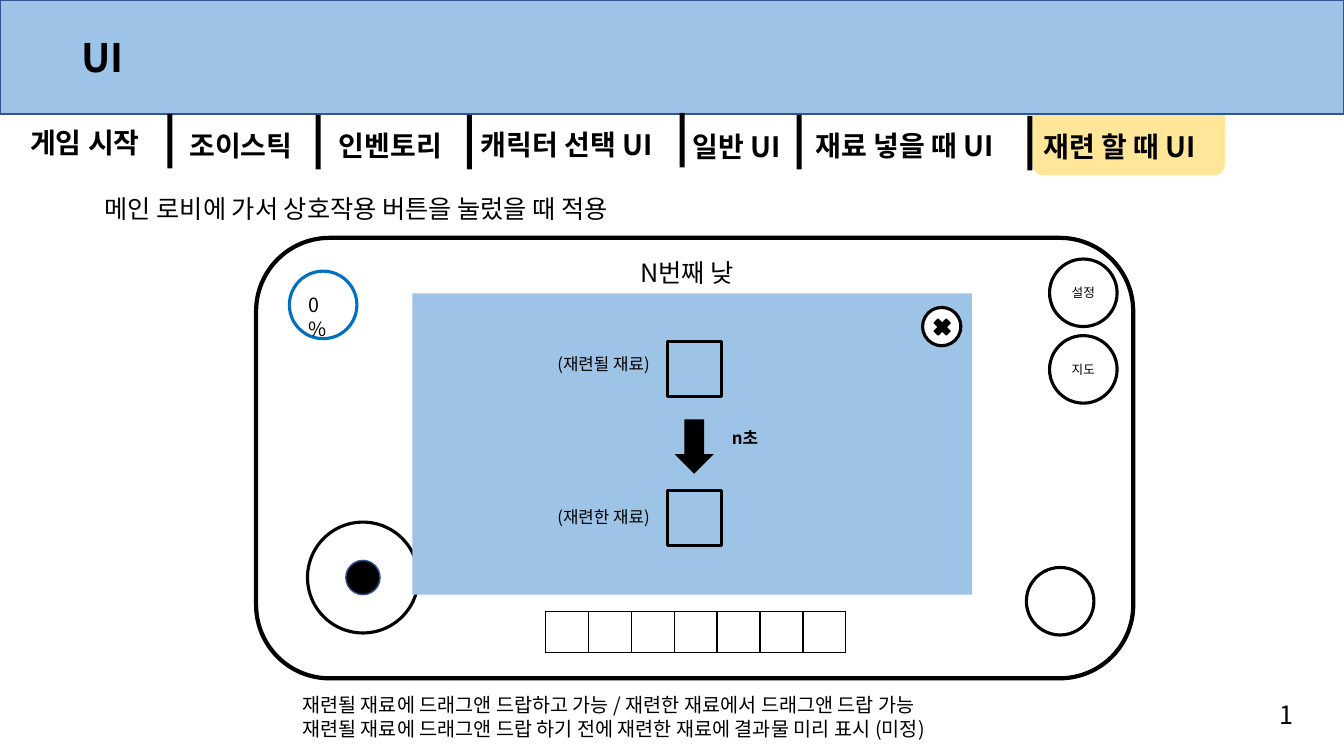
from lxml import etree
from pptx import Presentation
from pptx import util as u
from pptx.dml.color import RGBColor
from pptx.enum import shapes, text
from pptx.oxml import ns

KIND = shapes.MSO_SHAPE
BLACK, WHITE, SKY, NAVY = "000000", "FFFFFF", "9DC3E6", "325491"
RING, YELLOW = "0070C0", "FFE699"


def px(n):
    """Turn px, 100 to the inch, into EMU."""
    return u.Emu(n * 9144)


def rgb(code):
    return RGBColor.from_string(code)


class Board:
    font = "Noto Sans CJK KR"
    leading = 1.22

    def __init__(self, slide):
        self.slide = slide

    def put_text(self, frame, words, size, bold=False, align=None, wrap=False):
        """Fill a text frame, one paragraph for each line of words."""
        frame.word_wrap = wrap
        for i, line in enumerate(words.split("\n")):
            para = frame.add_paragraph() if i else frame.paragraphs[0]
            para.alignment = align
            para.line_spacing = u.Pt(size * self.leading)
            run = para.add_run()
            run.text = line
            run.font.size, run.font.bold = u.Pt(size), bold
            run.font.name = self.font
            run.font.color.rgb = rgb(BLACK)
            east_asian = etree.SubElement(run.font._element, ns.qn("a:ea"))
            east_asian.set("typeface", self.font)

    def title(self, words, box, size):
        """Place the title in front of the shapes drawn so far."""
        title = self.slide.shapes.title
        title.left, title.top, title.width, title.height = map(px, box)
        title.text_frame.vertical_anchor = text.MSO_ANCHOR.MIDDLE
        title.text_frame.auto_size = text.MSO_AUTO_SIZE.NONE
        self.put_text(title.text_frame, words, size, bold=True,
                      align=text.PP_ALIGN.LEFT, wrap=True)
        self.slide.shapes._spTree.append(title._element)

    def label(self, words, box, size, **style):
        frame = self.slide.shapes.add_textbox(*map(px, box)).text_frame
        frame.auto_size = text.MSO_AUTO_SIZE.SHAPE_TO_FIT_TEXT
        self.put_text(frame, words, size, **style)

    def shape(self, kind, box, fill=None, line=None, weight=2.25):
        shape = self.slide.shapes.add_shape(kind, *map(px, box))
        shape.shadow.inherit = False
        if fill:
            shape.fill.solid()
            shape.fill.fore_color.rgb = rgb(fill)
        else:
            shape.fill.background()
        if line:
            shape.line.color.rgb = rgb(line)
            shape.line.width = u.Pt(weight)
        else:
            shape.line.fill.background()
        return shape

    def button(self, words, box):
        button = self.shape(KIND.OVAL, box, WHITE, BLACK)
        frame = button.text_frame
        frame.vertical_anchor = text.MSO_ANCHOR.MIDDLE
        self.put_text(frame, words, 9, align=text.PP_ALIGN.CENTER, wrap=True)

    def slots(self, count, box):
        """Draw one row of empty, black-bordered cells."""
        table = self.slide.shapes.add_table(1, count, *map(px, box)).table
        table.first_row = table.horz_banding = False
        for cell in table.iter_cells():
            cell.margin_top = cell.margin_bottom = 0
            properties = cell._tc.get_or_add_tcPr()
            for side in ("a:lnL", "a:lnR", "a:lnT", "a:lnB"):
                border = etree.SubElement(properties, ns.qn(side), w="12700")
                solid = etree.SubElement(border, ns.qn("a:solidFill"))
                etree.SubElement(solid, ns.qn("a:srgbClr"), val=BLACK)
            cell.fill.solid()
            cell.fill.fore_color.rgb = rgb(WHITE)


def draw_tabs(board):
    board.shape(KIND.FLOWCHART_ALTERNATE_PROCESS, (1024, 107, 191, 67), YELLOW)
    board.shape(KIND.RECTANGLE, (0, 0, 1333, 113), SKY, NAVY, 1)
    board.title("UI", (71, 28, 463, 57), 28)
    for name, left, top, width in (
            ("게임 시작", 20, 119, 142), ("조이스틱", 178, 122, 133),
            ("인벤토리", 326, 122, 132), ("캐릭터 선택 UI", 467, 121, 209),
            ("일반 UI", 677, 123, 115), ("재료 넣을 때 UI", 799, 122, 219),
            ("재련 할 때 UI", 1025, 123, 191)):
        board.label(name, (left, top, width, 44), 20, bold=True)
    for left, top in ((166, 113), (313, 114), (463, 114),
                      (674, 112), (790, 114), (1019, 115)):
        board.shape(KIND.RECTANGLE, (left, top, 5, 54), BLACK)


def draw_console(board):
    board.shape(KIND.ROUNDED_RECTANGLE, (254, 236, 870, 437), WHITE, BLACK, 3)
    board.shape(KIND.OVAL, (305, 518, 110, 110), line=BLACK)
    board.shape(KIND.OVAL, (343, 556, 34, 34), BLACK, NAVY, 1)
    board.shape(KIND.OVAL, (1018, 563, 67, 67), line=BLACK)
    board.label("N번째 낮", (625, 250, 130, 40), 18, wrap=True)
    board.slots(7, (541, 607, 298, 40))
    board.button("설정", (1041, 257, 67, 67))
    board.button("지도", (1041, 333, 67, 67))
    board.shape(KIND.OVAL, (287, 269, 67, 67), line=RING)
    board.label("0%", (296, 285, 48, 34), 14, wrap=True)


def draw_refining_panel(board):
    board.shape(KIND.RECTANGLE, (409, 291, 555, 299), SKY)
    for name, name_top, slot_top in (("(재련될 재료)", 346, 339),
                                     ("(재련한 재료)", 497, 487)):
        board.label(name, (543, name_top, 120, 30), 12)
        board.shape(KIND.RECTANGLE, (662, slot_top, 54, 54), line=BLACK)
    board.shape(KIND.DOWN_ARROW, (669, 416, 39, 54), BLACK)
    board.label("n초", (716, 419, 67, 30), 12, bold=True, wrap=True)
    board.shape(KIND.OVAL, (915, 305, 38, 38), WHITE, BLACK)
    board.shape(KIND.MATH_MULTIPLY, (923, 313, 23, 23), BLACK, BLACK, 1)


def draw_notes(board):
    board.label("메인 로비에 가서 상호작용 버튼을 눌렀을 때 적용",
                (94, 186, 605, 40), 18)
    board.label("재련될 재료에 드래그앤 드랍하고 가능 / 재련한 재료에서 드래그앤 드랍 가능\n"
                "재련될 재료에 드래그앤 드랍 하기 전에 재련한 재료에 결과물 미리 표시 (미정)",
                (290, 682, 710, 57), 14)
    board.label("1", (1259, 688, 34, 40), 18)


def main():
    deck = Presentation()
    deck.slide_width, deck.slide_height = px(1333), px(750)
    board = Board(deck.slides.add_slide(deck.slide_layouts[5]))
    draw_tabs(board)
    draw_console(board)
    draw_refining_panel(board)
    draw_notes(board)
    deck.save("out.pptx")


if __name__ == "__main__":
    main()
